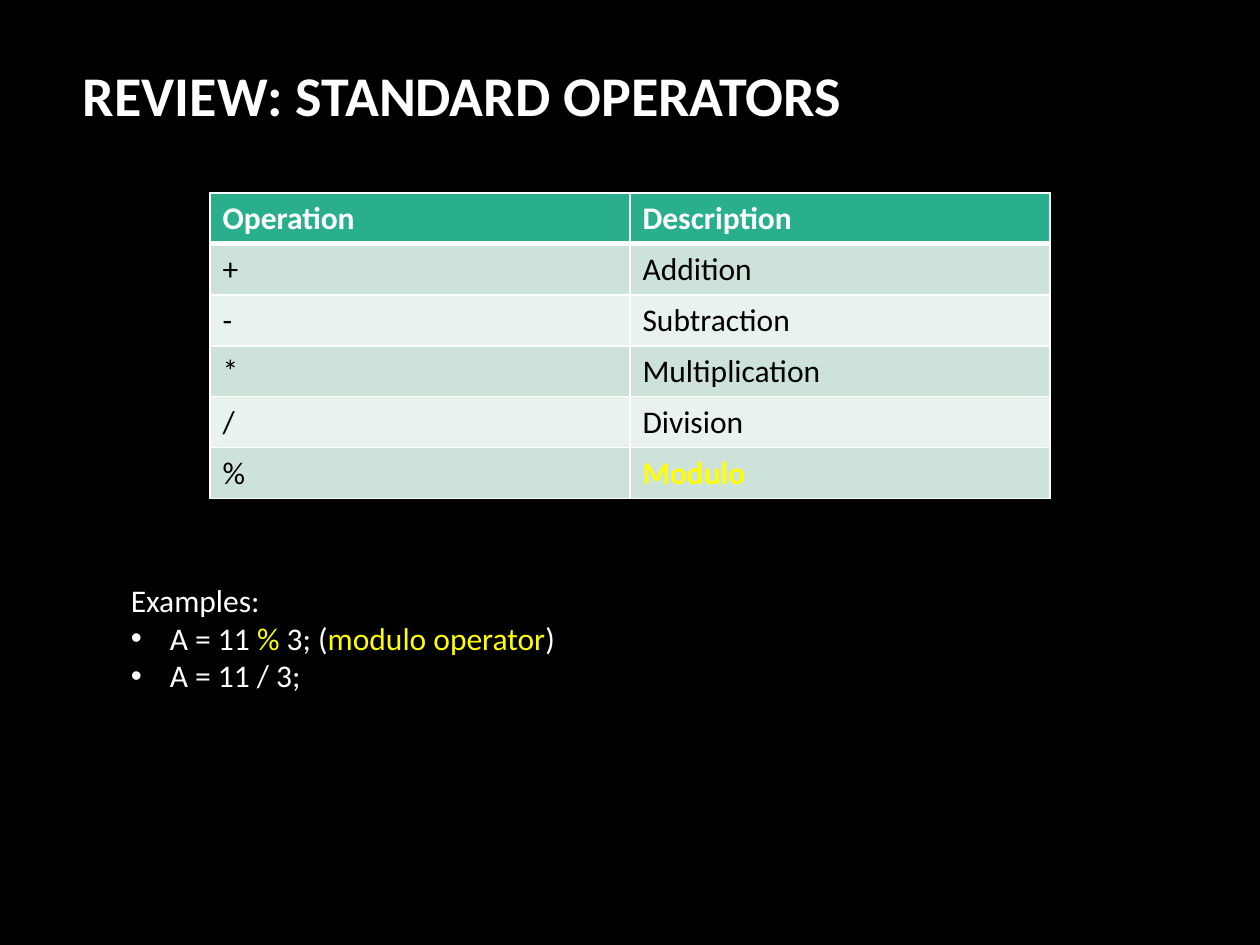
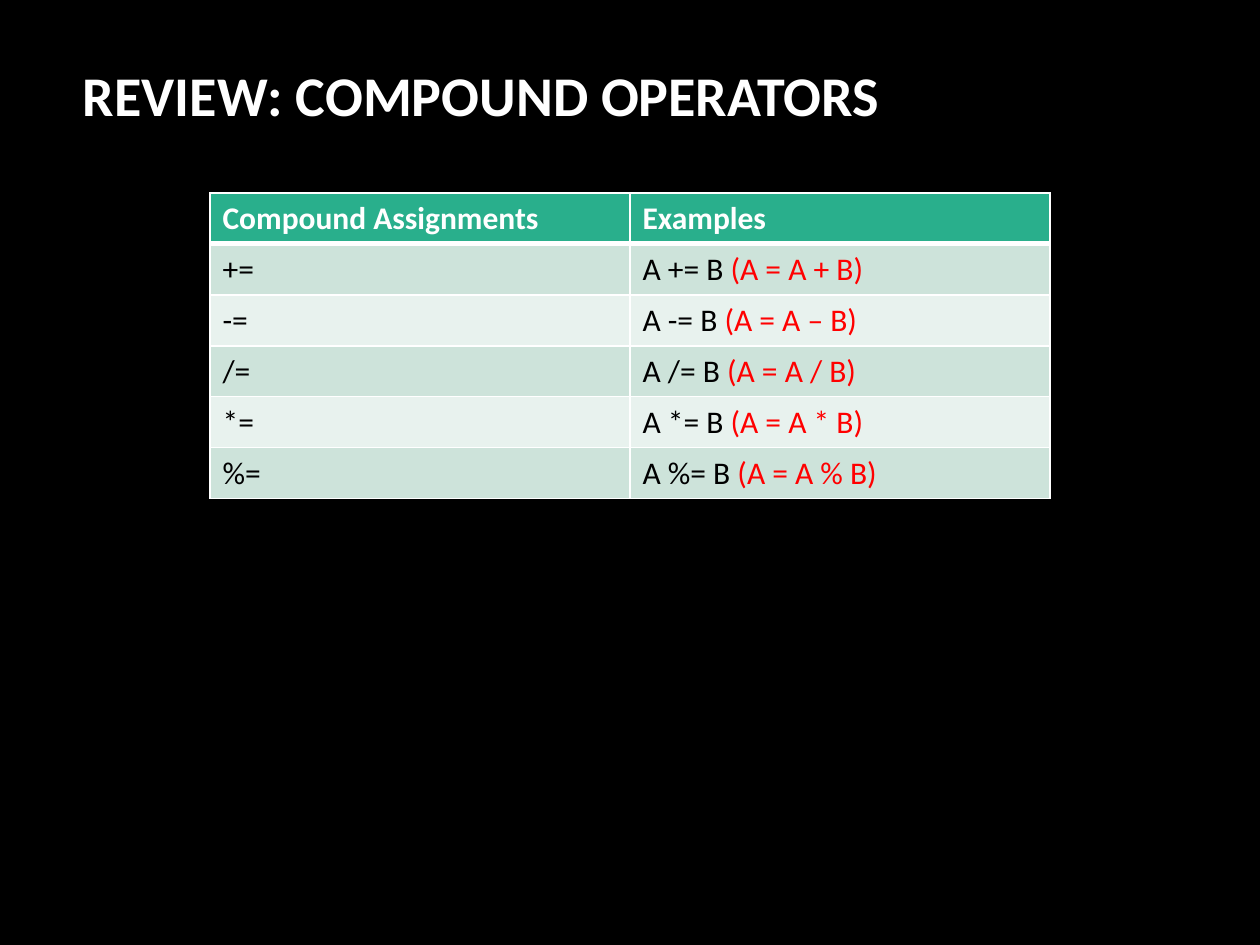
"""Build two review slides on standard and compound operators."""
from lxml import etree
from pptx import Presentation
from pptx import util as u
from pptx.dml.color import RGBColor
from pptx.enum import text
from pptx.oxml import ns

WIDTH, HEIGHT = 10, 7.5
FONT = "Calibri"
BLACK, WHITE, YELLOW, RED = "000000", "FFFFFF", "FFFF00", "FF0000"
HEADER_FILL, BAND_FILLS = "29AF8C", ("CDE3DA", "E8F2EE")
TABLE_TOP, ROW_HEIGHT = 1.53, 0.405
COLUMN_WIDTH = WIDTH / 3
TITLE_LEFT, TITLE_TOP, TITLE_HEIGHT = 0.56, 0.43, 0.64
BULLET_INDENT = 0.31

SLIDES = [
    {
        "title": "REVIEW: STANDARD OPERATORS",
        "title_width": 6.28,
        "header": ("Operation", "Description"),
        "rows": [
            ("+", ["Addition"]),
            ("-", ["Subtraction"]),
            ("*", ["Multiplication"]),
            ("/", ["Division"]),
            ("%", [("Modulo", {"color": YELLOW, "bold": True})]),
        ],
        "examples": [
            ["Examples:"],
            ["A = 11 ", ("% ", {"color": YELLOW}), "3; (",
             ("modulo operator", {"color": YELLOW}), ")"],
            ["A = 11 / 3;"],
        ],
    },
    {
        "title": "REVIEW: COMPOUND OPERATORS",
        "title_width": 6.58,
        "header": ("Compound Assignments", "Examples"),
        "rows": [
            (f"{sign}=", [f"A {sign}= B ", (f"(A = A {shown} B)", {"color": RED})])
            for sign, shown in (("+", "+"), ("-", "–"), ("/", "/"), ("*", "*"), ("%", "%"))
        ],
        "examples": [],
    },
]


def rgb(color):
    return RGBColor.from_string(color)


def write(paragraph, content, size=18, color=WHITE, bold=False):
    for part in content:
        words, changes = (part, {}) if isinstance(part, str) else part
        run = paragraph.add_run()
        run.text = words
        run.font.name = FONT
        run.font.size = u.Pt(size)
        run.font.bold = changes.get("bold", bold)
        run.font.color.rgb = rgb(changes.get("color", color))


def add_bullet(paragraph):
    properties = paragraph._p.get_or_add_pPr()
    indent = u.Inches(BULLET_INDENT)
    properties.set("marL", str(indent))
    properties.set("indent", str(-indent))
    etree.SubElement(properties, ns.qn("a:buFont"), typeface="Arial")
    etree.SubElement(properties, ns.qn("a:buChar"), char="•")


def add_text(slide, left, top, width, height, paragraphs, **style):
    box = slide.shapes.add_textbox(*map(u.Inches, (left, top, width, height)))
    frame = box.text_frame
    frame.word_wrap = False
    frame.auto_size = text.MSO_AUTO_SIZE.SHAPE_TO_FIT_TEXT
    for index, content in enumerate(paragraphs):
        paragraph = frame.add_paragraph() if index else frame.paragraphs[0]
        if index:
            add_bullet(paragraph)
        write(paragraph, content, **style)


def add_borders(cell, top, bottom):
    properties = cell._tc.get_or_add_tcPr()
    for side, points in (("L", 1), ("R", 1), ("T", top), ("B", bottom)):
        line = etree.SubElement(properties, ns.qn(f"a:ln{side}"), w=str(u.Pt(points)))
        fill = etree.SubElement(line, ns.qn("a:solidFill"))
        etree.SubElement(fill, ns.qn("a:srgbClr"), val=WHITE)


def add_table(slide, header, rows):
    grid = [[[label] for label in header]] + [[[sign], meaning] for sign, meaning in rows]
    columns = len(header)
    width, height = columns * COLUMN_WIDTH, len(grid) * ROW_HEIGHT
    left = (WIDTH - width) / 2
    table = slide.shapes.add_table(
        len(grid), columns, *map(u.Inches, (left, TABLE_TOP, width, height))).table
    for row, contents in enumerate(grid):
        is_header = row == 0
        for column, content in enumerate(contents):
            cell = table.cell(row, column)
            add_borders(cell, top=3 if row == 1 else 1, bottom=3 if is_header else 1)
            cell.fill.solid()
            cell.fill.fore_color.rgb = rgb(HEADER_FILL if is_header else BAND_FILLS[(row - 1) % 2])
            write(cell.text_frame.paragraphs[0], content,
                  color=WHITE if is_header else BLACK, bold=is_header)


def add_slide(presentation, content):
    slide = presentation.slides.add_slide(presentation.slide_layouts[6])
    slide.background.fill.solid()
    slide.background.fill.fore_color.rgb = rgb(BLACK)
    add_text(slide, TITLE_LEFT, TITLE_TOP, content["title_width"], TITLE_HEIGHT,
             [[content["title"]]], size=32, bold=True)
    add_table(slide, content["header"], content["rows"])
    if content["examples"]:
        add_text(slide, 0.94, 4.56, 3.6, 1.01, content["examples"])


def main():
    presentation = Presentation()
    presentation.slide_width, presentation.slide_height = u.Inches(WIDTH), u.Inches(HEIGHT)
    for content in SLIDES:
        add_slide(presentation, content)
    presentation.save("out.pptx")


if __name__ == "__main__":
    main()
